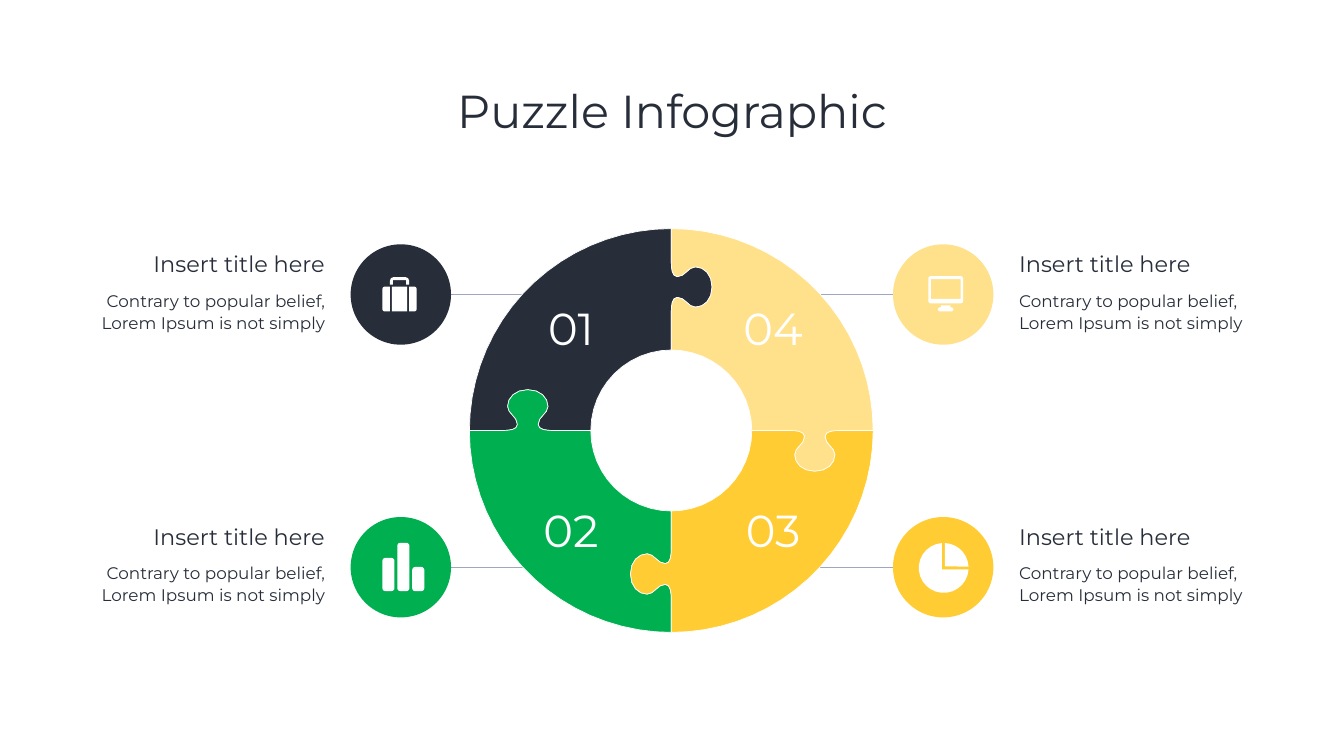
import math

from lxml import etree
from pptx import Presentation
from pptx import util as u
from pptx.dml.color import RGBColor
from pptx.enum import shapes, text
from pptx.oxml import ns

FONT = "Montserrat"
DARK, GREEN, AMBER, CREAM = "272E3A", "00B050", "FFCC33", "FFE18B"
WHITE, GREY = "FFFFFF", "9CA8BD"

MIDDLE_X = 960
ROWS = (420.7, 810.3)
BADGE_OFFSET, BADGE_SIZE = 387.4, 143.4

RING_CENTRE, OUTER, INNER = (959, 615), 288.4, 115
TAB_RADIUS = 205
# Half of the puzzle tab as Bézier pieces: (bulge, distance from the tab's middle)
HALF_TAB = [
    [(0, 36), (0, 27), (1, 14.8), (8.6, 14.8)],
    [(8.6, 14.8), (20, 14.8), (24, 28.8), (34.5, 28.8)],
    [(34.5, 28.8), (47, 28.8), (58.3, 18), (58.3, 0)],
]
ARC_TOLERANCE = 0.25


# Geometry
def bezier(p0, p1, p2, p3, steps):
    points = []
    for i in range(steps + 1):
        t = i / steps
        weights = ((1 - t) ** 3, 3 * t * (1 - t) ** 2, 3 * t * t * (1 - t), t ** 3)
        points.append(tuple(
            sum(w * p[axis] for w, p in zip(weights, (p0, p1, p2, p3)))
            for axis in (0, 1)))
    return points


def arc(centre, radius, start, end):
    """Points on a circle; degrees run clockwise from the top."""
    widest = 2 * math.degrees(math.acos(1 - ARC_TOLERANCE / radius))
    steps = math.ceil(abs(end - start) / widest)
    angles = [math.radians(start + (end - start) * i / steps) for i in range(steps + 1)]
    return [(centre[0] + radius * math.sin(a), centre[1] - radius * math.cos(a))
            for a in angles]


def seam(angle):
    """Puzzle edge between the outer and the inner rim."""
    half = HALF_TAB[0][:1] + [
        point for piece in HALF_TAB for point in bezier(*piece, steps=4)[1:]]
    profile = [(b, TAB_RADIUS + d) for b, d in half]
    profile += [(b, TAB_RADIUS - d) for b, d in half[-2::-1]]
    sin, cos = math.sin(math.radians(angle)), math.cos(math.radians(angle))
    x, y = RING_CENTRE
    return [(x + r * sin + b * cos, y - r * cos + b * sin) for b, r in profile]


def rounded(corners):
    """Polygon from (x, y, corner radius)."""
    points = []
    for i, (x, y, radius) in enumerate(corners):
        if not radius:
            points.append((x, y))
            continue

        def toward(other, distance):
            dx, dy = other[0] - x, other[1] - y
            ratio = distance / math.hypot(dx, dy)
            return x + dx * ratio, y + dy * ratio

        before, after = corners[i - 1], corners[(i + 1) % len(corners)]
        points += bezier(toward(before, radius), toward(before, radius * 0.45),
                         toward(after, radius * 0.45), toward(after, radius), steps=2)
    return points


def box(left, top, right, bottom, radii=(0, 0, 0, 0)):
    places = ((left, top), (right, top), (right, bottom), (left, bottom))
    return rounded([(x, y, r) for (x, y), r in zip(places, radii)])


# Elements
def color(hex_string):
    return RGBColor.from_string(hex_string)


def paint(shape, fill, line=None):
    shape.shadow.inherit = False
    shape.fill.solid()
    shape.fill.fore_color.rgb = color(fill)
    if line:
        shape.line.color.rgb = color(line)
        shape.line.width = u.Pt(1)
    else:
        shape.line.fill.background()


def add_preset(slide, kind, left, top, width, height, fill):
    shape = slide.shapes.add_shape(kind, u.Pt(left), u.Pt(top), u.Pt(width), u.Pt(height))
    paint(shape, fill)
    return shape


def add_outline(slide, contours, fill, line=None, origin=(0, 0)):
    contours = [[(u.Pt(origin[0] + x), u.Pt(origin[1] + y)) for x, y in contour]
                for contour in contours]
    builder = slide.shapes.build_freeform(*contours[0][0])
    builder.add_line_segments(contours[0][1:], close=True)
    for contour in contours[1:]:
        builder.move_to(*contour[0])
        builder.add_line_segments(contour[1:], close=True)
    paint(builder.convert_to_shape(), fill, line)


def add_line(slide, x1, x2, y):
    line = slide.shapes.add_connector(
        shapes.MSO_CONNECTOR.STRAIGHT, u.Pt(x1), u.Pt(y), u.Pt(x2), u.Pt(y))
    line.line.color.rgb = color(GREY)
    line.line.width = u.Pt(1)
    etree.SubElement(line._element.spPr, ns.qn("a:effectLst"))


def add_text(slide, content, left, top, width, height, size, hex_color, align,
             spacing=None, wrap=True):
    frame = slide.shapes.add_textbox(
        u.Pt(left), u.Pt(top), u.Pt(width), u.Pt(height)).text_frame
    frame.word_wrap = wrap
    frame.text = content
    paragraph = frame.paragraphs[0]
    paragraph.alignment = align
    if spacing:
        paragraph.line_spacing = spacing
    font = paragraph.runs[0].font
    font.name, font.size, font.color.rgb = FONT, u.Pt(size), color(hex_color)
    return frame


# Icons, placed from the middle of a badge
def add_briefcase(slide, x, y):
    parts = [
        rounded([(-15.5, -14, 0), (-15.5, -24.8, 5), (11.8, -24.8, 5), (11.8, -14, 0),
                 (7.5, -14, 0), (7.5, -20.5, 0), (-11.2, -20.5, 0), (-11.2, -14, 0)]),
        box(-26.3, -11.2, -15.5, 24.2, (3, 0, 0, 3)),
        box(11.8, -11.2, 22.6, 24.2, (0, 3, 3, 0)),
    ]
    for part in parts:
        add_outline(slide, [part], WHITE, origin=(x, y))
    add_preset(slide, shapes.MSO_SHAPE.RECTANGLE, x - 12.6, y - 11.2, 21.6, 35.4, WHITE)


def add_bars(slide, x, y):
    for i, height in enumerate((47.5, 69.1, 34.6)):
        bar = add_preset(slide, shapes.MSO_SHAPE.ROUNDED_RECTANGLE,
                         x - 26.3 + 21.3 * i, y + 34.2 - height, 17.3, height, WHITE)
        bar.adjustments[0] = 0.25


def add_pie(slide, x, y):
    for start, end, corner in ((93.5, 356, (-1.8, 3.2)), (3, 87, (2.5, -1.1))):
        slice_points = arc((0.7, 1), 35.6, start, end) + [corner]
        add_outline(slide, [slice_points], WHITE, origin=(x, y))


def add_monitor(slide, x, y):
    screen = box(-21.3, -26.2, 28.4, 12.6, (3, 3, 3, 3))
    opening = box(-17.6, -21.9, 24.8, 6.2)[::-1]
    stand = rounded([(-3.2, 15.5, 0), (10.4, 15.5, 0), (10.4, 18.4, 0), (14.7, 18.4, 2.8),
                     (14.7, 24.2, 2.8), (-7.6, 24.2, 2.8), (-7.6, 18.4, 2.8), (-3.2, 18.4, 0)])
    add_outline(slide, [screen, opening], WHITE, origin=(x, y))
    add_outline(slide, [stand], WHITE, origin=(x, y))


# Number, colour, side (-1 left, 1 right), row, angle of the first seam, icon
ITEMS = [
    ("01", DARK, -1, 0, 270, add_briefcase),
    ("04", CREAM, 1, 0, 0, add_monitor),
    ("02", GREEN, -1, 1, 180, add_bars),
    ("03", AMBER, 1, 1, 90, add_pie),
]


def add_piece(slide, fill, angle):
    outline = (arc(RING_CENTRE, OUTER, angle, angle + 90) + seam(angle + 90)
               + arc(RING_CENTRE, INNER, angle + 90, angle) + seam(angle)[::-1])
    add_outline(slide, [outline], fill, WHITE)


def add_callout(slide, fill, side, row, add_icon):
    x, y = MIDDLE_X + side * BADGE_OFFSET, ROWS[row]
    add_line(slide, MIDDLE_X + side * 212, MIDDLE_X + side * 358, y)
    add_preset(slide, shapes.MSO_SHAPE.OVAL, x - BADGE_SIZE / 2, y - BADGE_SIZE / 2,
               BADGE_SIZE, BADGE_SIZE, fill)
    add_icon(slide, x, y)

    align = text.PP_ALIGN.RIGHT if side < 0 else text.PP_ALIGN.LEFT
    edge = MIDDLE_X + side * 488.8
    for content, top, width, height, size, spacing in (
            ("Insert title here", y - 67, 261.4, 46, 32, None),
            ("Contrary to popular belief, Lorem Ipsum is not simply",
             y - 12.4, 373.7, 69, 24, 1.1)):
        left = edge - width if side < 0 else edge
        add_text(slide, content, left, top, width, height, size, DARK, align,
                 spacing, wrap=spacing is not None)


def main():
    presentation = Presentation()
    presentation.slide_width, presentation.slide_height = u.Pt(1920), u.Pt(1080)
    slide = presentation.slides.add_slide(presentation.slide_layouts[6])

    # Title
    title = add_text(slide, "Puzzle Infographic", 132, 57.6, 1656, 208.8, 66, DARK,
                     text.PP_ALIGN.CENTER, 0.9)
    title.vertical_anchor = text.MSO_ANCHOR.MIDDLE

    # Callouts first, so that the ring covers the ends of their lines
    for _, fill, side, row, _, add_icon in ITEMS:
        add_callout(slide, fill, side, row, add_icon)

    # Puzzle ring and its numbers
    for number, fill, side, row, angle, _ in ITEMS:
        add_piece(slide, fill, angle)
        add_text(slide, number, MIDDLE_X + side * 144.4 - 50, (426.2, 715)[row], 100, 85,
                 64, WHITE, text.PP_ALIGN.CENTER, wrap=False)

    presentation.save("out.pptx")


if __name__ == "__main__":
    main()
